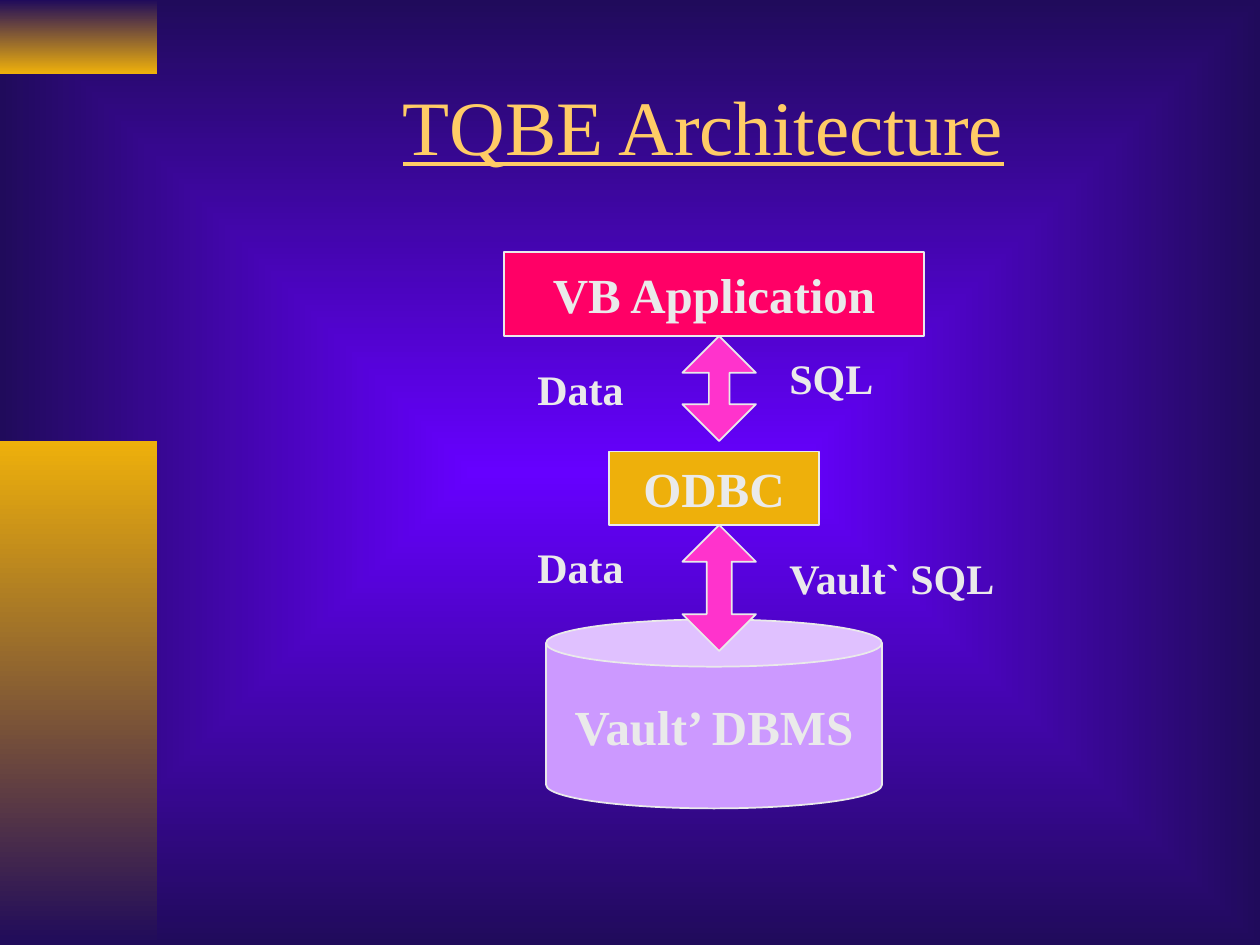
from lxml import etree
from pptx import Presentation
from pptx.dml.color import RGBColor
from pptx.enum.shapes import MSO_SHAPE
from pptx.enum.text import MSO_ANCHOR, PP_ALIGN
from pptx.oxml.ns import qn
from pptx.util import Pt

RECTANGLE, CAN = MSO_SHAPE.RECTANGLE, MSO_SHAPE.CAN
UP_DOWN_ARROW = MSO_SHAPE.UP_DOWN_ARROW
MIDDLE, TOP = MSO_ANCHOR.MIDDLE, MSO_ANCHOR.TOP
CENTER, LEFT = PP_ALIGN.CENTER, PP_ALIGN.LEFT

VIOLET = RGBColor(0x66, 0x00, 0xFF)
NAVY = RGBColor(0x20, 0x0B, 0x5B)
GOLD = RGBColor(0xEE, 0xB0, 0x0B)
PALE_GOLD = RGBColor(0xFF, 0xCC, 0x66)
CRIMSON = RGBColor(0xFF, 0x00, 0x66)
LILAC = RGBColor(0xCC, 0x99, 0xFF)
PINK = RGBColor(0xFF, 0x33, 0xCC)
LIGHT = RGBColor(0xEA, 0xEA, 0xEA)
FONT = "Times New Roman"


def set_gradient(fill, start, end):
    fill.gradient()
    for stop, position, color in zip(fill.gradient_stops, (0, 1), (start, end)):
        stop.position = position
        stop.color.rgb = color


def paint_background(slide):
    """Spread a rectangular gradient from the slide's centre."""
    set_gradient(slide.background.fill, VIOLET, NAVY)
    gradient = slide.element.find(".//" + qn("a:gradFill"))
    gradient.remove(gradient.find(qn("a:lin")))
    spread = etree.SubElement(gradient, qn("a:path"), path="rect")
    etree.SubElement(spread, qn("a:fillToRect"),
                     l="50000", t="50000", r="50000", b="50000")


def add_shape(slide, kind, left, top, width, height):
    shape = slide.shapes.add_shape(kind, Pt(left), Pt(top), Pt(width), Pt(height))
    shape.shadow.inherit = False
    return shape


def add_side_bar(slide, top, height, start, end):
    bar = add_shape(slide, RECTANGLE, 0, top, 90, height)
    set_gradient(bar.fill, start, end)
    bar.fill.gradient_angle = 270
    bar.line.fill.background()


def add_outlined(slide, kind, bounds, color):
    shape = add_shape(slide, kind, *bounds)
    shape.fill.solid()
    shape.fill.fore_color.rgb = color
    shape.line.color.rgb = LIGHT
    shape.line.width = Pt(1)
    return shape


def write(shape, text, size, color=LIGHT, align=CENTER, anchor=MIDDLE,
          bold=True, underline=False, wrap=True):
    frame = shape.text_frame
    frame.word_wrap = wrap
    frame.vertical_anchor = anchor
    paragraph = frame.paragraphs[0]
    paragraph.alignment = align
    run = paragraph.add_run()
    run.text = text
    run.font.name = FONT
    run.font.size = Pt(size)
    run.font.bold = bold
    run.font.underline = underline
    run.font.color.rgb = color


def add_layer(slide, kind, bounds, color, text):
    layer = add_outlined(slide, kind, bounds, color)
    write(layer, text, 28, wrap=False)


def add_exchange_arrow(slide, top, height, head):
    arrow = add_outlined(slide, UP_DOWN_ARROW, (390, top, 42, height), PINK)
    arrow.adjustments[0] = 0.5
    arrow.adjustments[1] = head


def add_text_box(slide, left, top, width, height):
    return slide.shapes.add_textbox(Pt(left), Pt(top), Pt(width), Pt(height))


def add_flow_label(slide, left, top, width, text):
    label = add_text_box(slide, left, top, width, 36)
    write(label, text, 24, align=LEFT, anchor=TOP)


def main():
    presentation = Presentation()
    presentation.slide_width, presentation.slide_height = Pt(720), Pt(540)
    slide = presentation.slides.add_slide(presentation.slide_layouts[6])

    paint_background(slide)
    add_side_bar(slide, 0, 42, NAVY, GOLD)
    add_side_bar(slide, 252, 288, GOLD, NAVY)

    title = add_text_box(slide, 96, 24, 612, 95)
    write(title, "TQBE Architecture", 44, PALE_GOLD, bold=False, underline=True)

    add_layer(slide, RECTANGLE, (288, 144, 240, 48), CRIMSON, "VB Application")
    add_layer(slide, RECTANGLE, (348, 258, 120, 42), GOLD, "ODBC")
    add_layer(slide, CAN, (312, 354, 192, 108), LILAC, "Vault’ DBMS")

    add_exchange_arrow(slide, 192, 60, 0.28)
    add_exchange_arrow(slide, 300, 72, 0.34)

    add_flow_label(slide, 444, 312, 140, "Vault` SQL")
    add_flow_label(slide, 300, 204, 66, "Data")
    add_flow_label(slide, 444, 198, 72, "SQL")
    add_flow_label(slide, 300, 306, 66, "Data")

    presentation.save("out.pptx")


if __name__ == "__main__":
    main()
